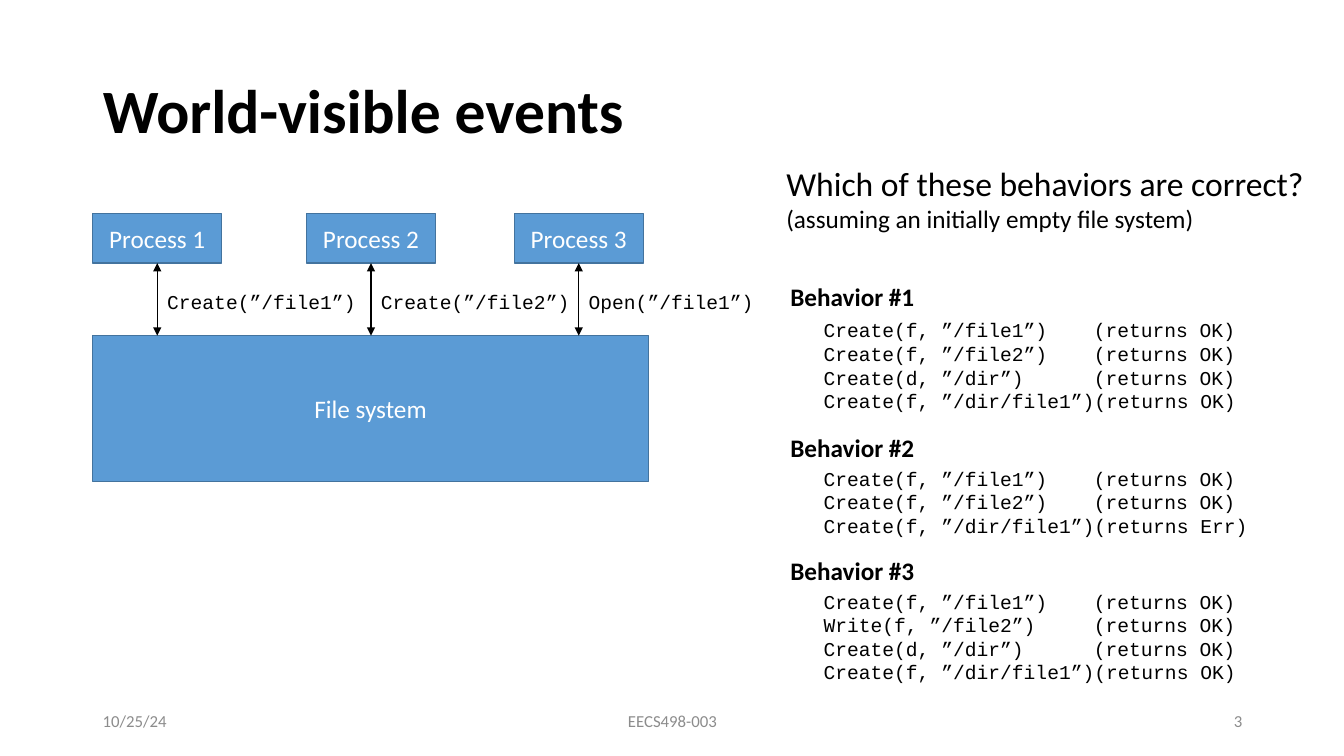
from lxml.etree import SubElement
from pptx import Presentation
from pptx.dml.color import RGBColor
from pptx.enum.shapes import MSO_CONNECTOR, MSO_SHAPE
from pptx.enum.text import MSO_ANCHOR, MSO_AUTO_SIZE, PP_ALIGN
from pptx.oxml.ns import qn
from pptx.util import Inches, Pt

BLACK = RGBColor(0x00, 0x00, 0x00)
WHITE = RGBColor(0xFF, 0xFF, 0xFF)
GRAY = RGBColor(0x8C, 0x8C, 0x8C)
BLUE = RGBColor(0x5B, 0x9B, 0xD5)
DARK_BLUE = RGBColor(0x43, 0x73, 0x9E)
SANS, MONO = "Calibri", "Courier New"
RESULT_COLUMN = 23

PROCESSES = [
    (0, "Process 1", "Create(”/file1”)"),
    (2.12, "Process 2", "Create(”/file2”)"),
    (4.18, "Process 3", "Open(”/file1”)"),
]
FILE1 = ("Create(f, ”/file1”)", "(returns OK)")
FILE2 = ("Create(f, ”/file2”)", "(returns OK)")
DIR = ("Create(d, ”/dir”)", "(returns OK)")
NESTED = ("Create(f, ”/dir/file1”)", "(returns OK)")
BEHAVIORS = [
    (2.74, 0.37, "Behavior #1", [FILE1, FILE2, DIR, NESTED]),
    (4.24, 0.34, "Behavior #2", [FILE1, FILE2, (NESTED[0], "(returns Err)")]),
    (5.46, 0.34, "Behavior #3",
     [FILE1, ("Write(f, ”/file2”)", "(returns OK)"), DIR, NESTED]),
]


def write(p, text, size=18, font=SANS, color=BLACK, bold=False, align=PP_ALIGN.LEFT):
    """Add one formatted run to a paragraph."""
    p.alignment = align
    r = p.add_run()
    r.text = text
    r.font.size, r.font.name, r.font.bold = Pt(size), font, bold
    r.font.color.rgb = color


def add_text(s, x, y, w, h, lines, anchor=MSO_ANCHOR.TOP, **fmt):
    """Add a wrapping text box with one paragraph per line."""
    tf = s.shapes.add_textbox(Inches(x), Inches(y), Inches(w), Inches(h)).text_frame
    tf.word_wrap, tf.vertical_anchor = True, anchor
    for i, line in enumerate(lines):
        write(tf.add_paragraph() if i else tf.paragraphs[0], line, **fmt)
    return tf


def add_box(s, x, y, w, h, text):
    """Add a labelled blue rectangle."""
    sp = s.shapes.add_shape(MSO_SHAPE.RECTANGLE, Inches(x), Inches(y), Inches(w), Inches(h))
    sp.shadow.inherit = False
    sp.fill.solid()
    sp.fill.fore_color.rgb = BLUE
    sp.line.color.rgb, sp.line.width = DARK_BLUE, Pt(1)
    sp.text_frame.vertical_anchor = MSO_ANCHOR.MIDDLE
    write(sp.text_frame.paragraphs[0], text, color=WHITE, align=PP_ALIGN.CENTER)
    return sp


def add_arrow(s, box, x, y1, y2):
    """Add a vertical double-headed arrow from the bottom of a box."""
    c = s.shapes.add_connector(MSO_CONNECTOR.STRAIGHT, Inches(x), Inches(y1), Inches(x), Inches(y2))
    c.begin_connect(box, 2)
    c.line.color.rgb, c.line.width = BLACK, Pt(1)
    ln = c.line._get_or_add_ln()
    for end in ("a:headEnd", "a:tailEnd"):
        SubElement(ln, qn(end), type="triangle")
    SubElement(c._element.spPr, qn("a:effectLst"))


def add_title(s, x, y, w, h):
    """Place and format the title placeholder."""
    sp = s.shapes.title
    sp.left, sp.top, sp.width, sp.height = Inches(x), Inches(y), Inches(w), Inches(h)
    tf = sp.text_frame
    tf.auto_size, tf.vertical_anchor = MSO_AUTO_SIZE.NONE, MSO_ANCHOR.MIDDLE
    tf.paragraphs[0].line_spacing = 0.9
    write(tf.paragraphs[0], "World-visible events", size=44, bold=True)


def add_diagram(s, x, y, w, h):
    """Draw the processes above the file system with their calls."""
    box_w, box_h, fs_y = 1.28, 0.49, y + 1.21
    add_box(s, x, fs_y, w, y + h - fs_y, "File system")
    for dx, name, call in PROCESSES:
        box = add_box(s, x + dx, y, box_w, box_h, name)
        mid = x + dx + box_w / 2
        add_arrow(s, box, mid, y + box_h, fs_y)
        add_text(s, mid, y + 0.71, 2.1, 0.34, [call], size=14, font=MONO)


def add_calls(s, x, y, w, calls):
    """List calls with their results aligned in a column."""
    lines = [call + ("\t" if len(call) < RESULT_COLUMN else "") + result
             for call, result in calls]
    tf = add_text(s, x, y, w, 0.1 + 0.235 * len(calls), lines, size=14, font=MONO)
    for p in tf.paragraphs:
        tabs = SubElement(p._p.get_or_add_pPr(), qn("a:tabLst"))
        SubElement(tabs, qn("a:tab"), pos=str(Inches(2.68)), algn="l")


def add_behaviors(s, x, y, w):
    """Write the question and the three candidate behaviors."""
    tf = add_text(s, x, y, w, 0.81, ["Which of these behaviors are correct?"], size=24)
    write(tf.add_paragraph(), "(assuming an initially empty file system)")
    for top, gap, name, calls in BEHAVIORS:
        add_text(s, x + 0.04, top, 2.38, 0.4, [name], bold=True)
        add_calls(s, x + 0.37, top + gap, 4.54, calls)


def add_footer(s, x, y, w, h):
    """Write the date, course and slide number across the bottom."""
    for dx, width, text, align in [
        (0, 3, "10/25/24", PP_ALIGN.LEFT),
        (w / 2 - 2.25, 4.5, "EECS498-003", PP_ALIGN.CENTER),
        (w - 3, 3, "3", PP_ALIGN.RIGHT),
    ]:
        add_text(s, x + dx, y, width, h, [text], anchor=MSO_ANCHOR.MIDDLE,
                 size=12, color=GRAY, align=align)


def main():
    """Build the slide and save it."""
    prs = Presentation()
    prs.slide_width, prs.slide_height = Inches(13.33), Inches(7.5)
    s = prs.slides.add_slide(prs.slide_layouts[5])
    add_title(s, 0.92, 0.4, 11.5, 1.45)
    add_diagram(s, 0.92, 2.12, 5.51, 2.66)
    add_behaviors(s, 7.7, 1.57, 5.41)
    add_footer(s, 0.92, 6.95, 11.5, 0.4)
    prs.save("out.pptx")


if __name__ == "__main__":
    main()
